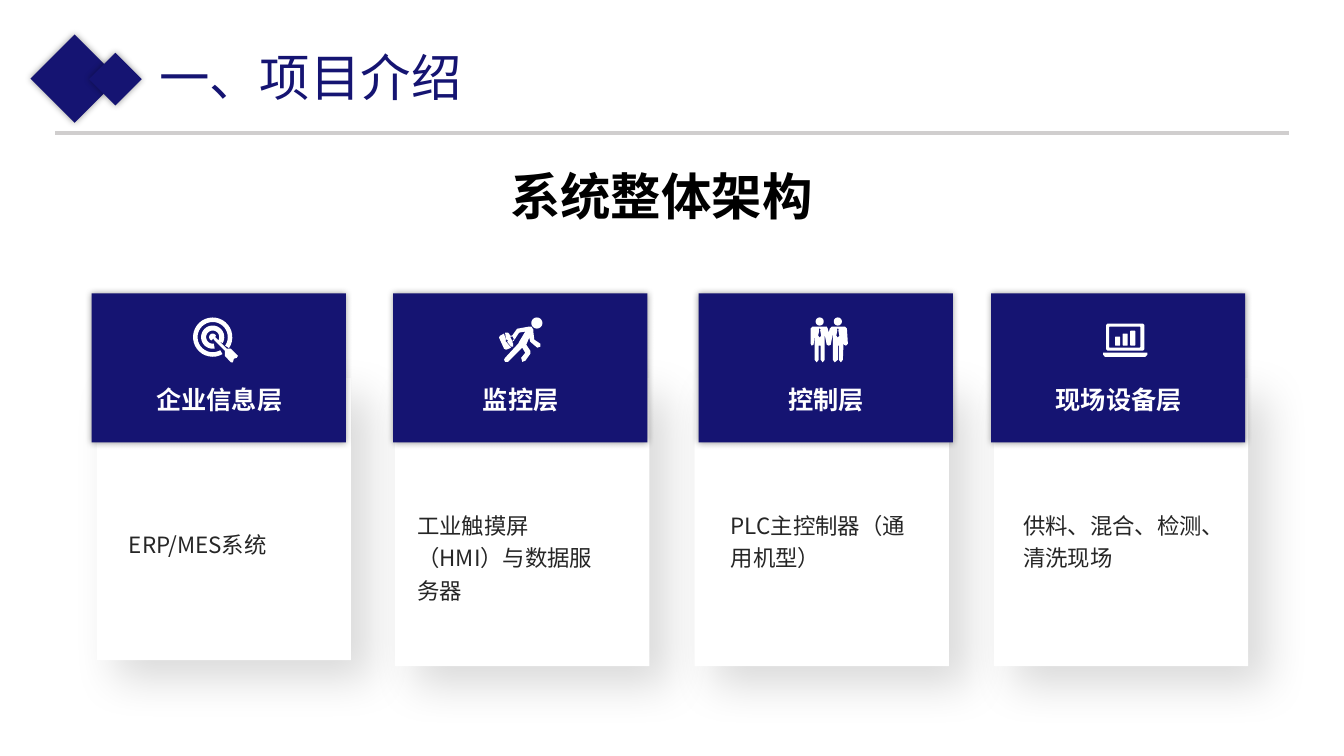
"""Build the slide on the four layers of the system."""
from dataclasses import dataclass
from math import cos, radians, sin

from lxml import etree
from pptx import Presentation
from pptx.dml.color import RGBColor
from pptx.enum.shapes import MSO_CONNECTOR, MSO_SHAPE
from pptx.enum.text import MSO_AUTO_SIZE, PP_ALIGN
from pptx.oxml.ns import qn
from pptx.util import Inches, Pt

NAVY = RGBColor(0x15, 0x14, 0x72)
WHITE = RGBColor(0xFF, 0xFF, 0xFF)
BLACK = RGBColor(0, 0, 0)
DARK = RGBColor(0x26, 0x26, 0x26)
GREY = RGBColor(0xD0, 0xCE, 0xCE)
RECT = MSO_SHAPE.RECTANGLE
LINE = MSO_CONNECTOR.STRAIGHT
LEFT, MID = PP_ALIGN.LEFT, PP_ALIGN.CENTER
GROW = MSO_AUTO_SIZE.SHAPE_TO_FIT_TEXT
SANS_JP, SANS_SC = "Noto Sans CJK JP", "Noto Sans CJK SC"

Path = list[tuple[float, float]]
Box = tuple[float, float, float, float]


@dataclass
class Style:
    """Look of a text."""
    size: int
    color: RGBColor
    latin: str
    east: str
    bold: bool = False
    align: PP_ALIGN = LEFT
    space: float = 1.0


@dataclass
class Shade:
    """Shadow with lengths in points and angle in degrees."""
    alpha: int
    blur: int
    dist: int = 0
    angle: int = 0


@dataclass
class Icon:
    """Outlines in hundredths of an inch from the icon's corner."""
    left: float
    top: float
    paths: list[Path]


@dataclass
class Layer:
    """One column: blue head, white card and icon."""
    name: str
    text: str
    head: float
    card: float
    tall: float
    body: tuple[float, float]
    icon: Icon


TITLE = Style(36, NAVY, SANS_JP, SANS_JP)
TOPIC = Style(36, BLACK, "Calibri", SANS_SC, True, MID)
NAME = Style(18, WHITE, SANS_JP, SANS_JP, True, MID, 1.2)
BODY = Style(16, DARK, SANS_SC, SANS_SC, space=1.2)
GLOW = Shade(40, 5)
CAST = Shade(14, 32, 19, 45)


def arc(x: float, y: float, r: float, start: float = 0, end: float = 360) -> Path:
    """Return points along an arc."""
    steps = 32
    turns = [radians(start + (end - start) * i / steps) for i in range(steps + 1)]
    return [(x + r * cos(t), y + r * sin(t)) for t in turns]


def ring(r: float, hole: float, start: float, end: float) -> Path:
    """Return an open ring of the target."""
    return arc(19, 19.5, r, start, end) + arc(19, 19.5, hole, end, start)


def block(x: float, y: float, w: float, h: float, cut: float) -> Path:
    """Return a rectangle with cut corners."""
    r, b = x + w, y + h
    return [(x + cut, y), (r - cut, y), (r, y + cut), (r, b - cut),
            (r - cut, b), (x + cut, b), (x, b - cut), (x, y + cut)]


def tie(x: float) -> Path:
    """Return a tie centred at x."""
    return [(x - 1, 12), (x, 10.5), (x + 1, 12), (x + 0.5, 13), (x + 1.5, 18),
            (x, 20), (x - 1.5, 18), (x - 0.5, 13)]


ARROW = [(21, 19), (33, 31), (37, 31), (44, 38), (43, 40), (40, 41), (39, 44.5),
         (37, 44.5), (31, 38), (31, 33), (20, 22), (20, 20)]
BACK = [(5, 16), (7, 23), (6, 23), (7, 24), (12, 30), (7, 32), (5, 31), (0, 20), (1, 18)]
CASE = [(7, 15), (9, 15), (10, 16), (11, 18), (13, 18), (13, 19), (11, 19), (13, 23),
        (14, 23), (14, 22), (15, 22), (15, 23), (13, 24), (14, 26), (14, 29), (12, 29),
        (8, 24), (9, 23), (8, 22), (7, 22), (6, 15)]
BODIES = [(30, 9), (32, 9), (34, 12), (34, 14), (35, 22), (41, 26), (41, 29), (38, 30),
          (32, 25), (31, 24), (30, 20), (27, 27), (31, 33), (31, 36), (26, 43), (23, 44),
          (22, 40), (26, 35), (23, 30), (9, 44), (6, 44), (5, 42), (6, 40), (19, 26),
          (20, 24), (26, 14), (20, 15), (16, 21), (15, 22), (13, 18), (18, 11), (19, 11)]
PAIR = [(2, 9), (16, 9), (17, 11), (18, 15), (19, 11), (21, 9), (34, 9), (36, 11),
        (37, 26), (35, 28), (33, 27), (33, 17), (32, 42), (30, 44.5), (28, 42), (28, 28),
        (27, 28), (27, 42), (24, 44.5), (22, 42), (22, 16), (20, 27), (18, 28), (16, 27),
        (14, 17), (14, 42), (12, 44.5), (10, 42), (10, 28), (8, 28), (8, 42), (6, 44.5),
        (4, 42), (4, 16), (3, 27), (1, 28), (0, 26), (0, 11)]
BASE = [(0, 29), (44, 29), (44, 31), (42, 33), (2, 33), (0, 31)]

AIM = Icon(1.92, 3.15, [ARROW, ring(19.5, 15, 60, 394), ring(11.5, 6.5, 80, 391),
                        arc(19, 19.5, 3.5, 110, 340)])
RUN = Icon(4.95, 3.15, [BACK, CASE, BODIES, arc(37.5, 5.5, 5.5)])
TEAM = Icon(8.04, 3.15, [PAIR, tie(9), tie(27), arc(9, 4, 4), arc(27, 4, 4)])
BARS = [block(12 + 7.5 * i, 13 - 3 * i, 5, 9 + 3 * i, 0.5) for i in range(3)]
LAPTOP = Icon(10.94, 3.21, [BASE, block(3, 0, 38, 27, 1.5), block(6, 3, 31, 21, 0.5), *BARS])

LAYERS = [
    Layer("企业信息层", "ERP/MES系统", 0.91, 0.96, 2.8, (1.18, 5.17), AIM),
    Layer("监控层", "工业触摸屏（HMI）与数据服务器", 3.9, 3.92, 2.86, (4.04, 4.98), RUN),
    Layer("控制层", "PLC主控制器（通用机型）", 6.93, 6.89, 2.86, (7.15, 4.98), TEAM),
    Layer("现场设备层", "供料、混合、检测、清洗现场", 9.83, 9.86, 2.86, (10.05, 4.98), LAPTOP),
]


def panel(shapes, box: Box, fill: RGBColor, shade: Shade, turn: int = 0) -> None:
    """Draw a filled rectangle with a soft shadow."""
    shape = shapes.add_shape(RECT, *map(Inches, box))
    shape.rotation = turn
    shape.fill.solid()
    shape.fill.fore_color.rgb = fill
    shape.line.fill.background()
    shape.shadow.inherit = False
    effects = shape._element.spPr.find(qn("a:effectLst"))
    outer = etree.SubElement(effects, qn("a:outerShdw"), blurRad=str(Pt(shade.blur)),
                             dist=str(Pt(shade.dist)), dir=str(shade.angle * 60000),
                             algn="ctr", rotWithShape="0")
    color = etree.SubElement(outer, qn("a:srgbClr"), val=str(BLACK))
    etree.SubElement(color, qn("a:alpha"), val=str(shade.alpha * 1000))


def label(shapes, box: Box, text: str, style: Style) -> None:
    """Write one paragraph in a text box."""
    frame = shapes.add_textbox(*map(Inches, box)).text_frame
    frame.word_wrap = True
    frame.auto_size = GROW
    para = frame.paragraphs[0]
    para.alignment = style.align
    para.line_spacing = style.space
    run = para.add_run()
    run.text = text
    font = run.font
    font.size = Pt(style.size)
    font.bold = style.bold
    font.color.rgb = style.color
    font.name = style.latin
    etree.SubElement(run._r.get_or_add_rPr(), qn("a:ea"), typeface=style.east)


def draw(shapes, icon: Icon) -> None:
    """Draw a white icon as one outline."""
    paths = [[(Inches(x / 100), Inches(y / 100)) for x, y in p] for p in icon.paths]
    pen = shapes.build_freeform(*paths[0][0])
    for i, points in enumerate(paths):
        if i:
            pen.move_to(*points[0])
        pen.add_line_segments(points[1:], close=True)
    shape = pen.convert_to_shape(Inches(icon.left), Inches(icon.top))
    shape.fill.solid()
    shape.fill.fore_color.rgb = WHITE
    shape.line.fill.background()
    shape.shadow.inherit = False


def main() -> None:
    """Build and save the slide."""
    deck = Presentation()
    deck.slide_width, deck.slide_height = Inches(13.33), Inches(7.5)
    shapes = deck.slides.add_slide(deck.slide_layouts[6]).shapes
    rule = shapes.add_connector(LINE, *map(Inches, (0.55, 1.32, 12.78, 1.32)))
    rule.line.color.rgb = GREY
    rule.line.width = Pt(2.25)
    etree.SubElement(rule._element.spPr, qn("a:effectLst"))
    for box in ((0.43, 0.47, 0.62, 0.62), (0.96, 0.6, 0.37, 0.37)):
        panel(shapes, box, NAVY, GLOW, 315)
    label(shapes, (1.48, 0.41, 6.21, 0.71), "一、项目介绍", TITLE)
    for layer in LAYERS:
        panel(shapes, (layer.card, 3.75, 2.52, layer.tall), WHITE, CAST)
        label(shapes, (*layer.body, 2.09, 0.75), layer.text, BODY)
    for layer in LAYERS:
        panel(shapes, (layer.head, 2.91, 2.52, 1.48), NAVY, GLOW)
        label(shapes, (layer.head + 0.04, 3.7, 2.45, 0.46), layer.name, NAME)
        draw(shapes, layer.icon)
    label(shapes, (4.71, 1.59, 3.7, 0.96), "系统整体架构", TOPIC)
    deck.save("out.pptx")


if __name__ == "__main__":
    main()
